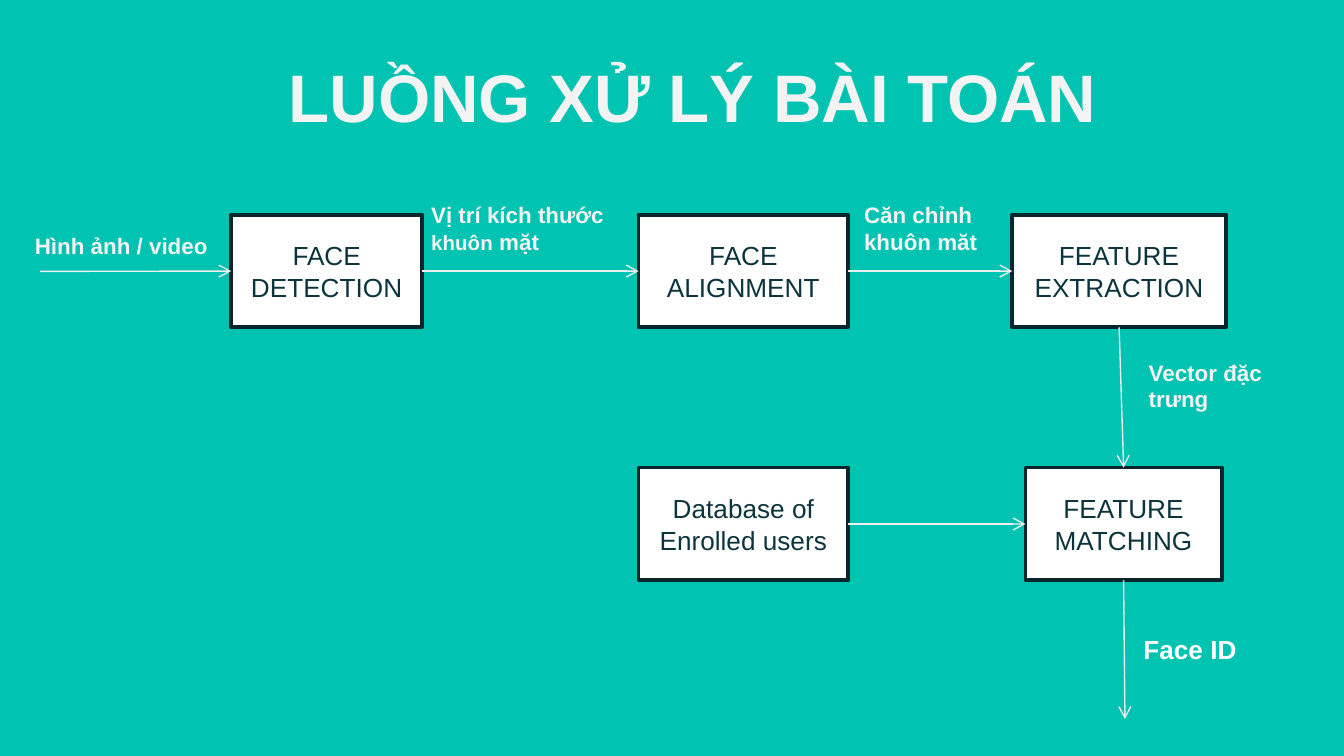
"""Build the slide with the face recognition processing flow."""
from dataclasses import dataclass

from lxml.etree import SubElement
from pptx import Presentation
from pptx.dml.color import RGBColor
from pptx.enum.shapes import MSO_CONNECTOR, MSO_SHAPE
from pptx.enum.text import MSO_ANCHOR, MSO_AUTO_SIZE, PP_ALIGN
from pptx.oxml.ns import qn
from pptx.util import Cm, Pt


@dataclass(frozen=True)
class Theme:
    font: str = "Arial"
    background: str = "00C3B1"
    pale: str = "F3F3F3"
    white: str = "FFFFFF"
    ink: str = "0C343D"
    border: str = "09262D"
    arrow: str = "EEEEEE"
    title_size: int = 36
    box_size: int = 14
    label_size: int = 12
    small_size: int = 11


theme = Theme()
BOTTOM, LEFT, TOP, RIGHT = 2, 1, 0, 3


def style_span(span, size, color, bold=False):
    span.font.name = theme.font
    span.font.size = Pt(size)
    span.font.bold = bold
    span.font.color.rgb = RGBColor.from_string(color)


def set_margins(frame, top, bottom):
    frame.margin_left = frame.margin_right = Cm(0.25)
    frame.margin_top, frame.margin_bottom = Cm(top), Cm(bottom)


deck = Presentation()
deck.slide_width, deck.slide_height = Cm(25.4), Cm(14.29)
page = deck.slides.add_slide(deck.slide_layouts[5])
page.background.fill.solid()
page.background.fill.fore_color.rgb = RGBColor.from_string(theme.background)

title = page.shapes.title
title.left, title.top, title.width, title.height = Cm(2.39), Cm(0.79), Cm(21.41), Cm(1.6)
frame = title.text_frame
frame.text = "LUỒNG XỬ LÝ BÀI TOÁN"
frame.auto_size = MSO_AUTO_SIZE.NONE
frame.vertical_anchor = MSO_ANCHOR.TOP
set_margins(frame, 0.25, 0.25)
frame.paragraphs[0].alignment = PP_ALIGN.CENTER
style_span(frame.paragraphs[0].runs[0], theme.title_size, theme.pale, True)

upper_row, lower_row = 4.06, 8.84
steps = {
    "detection": ("FACE DETECTION", 4.37, upper_row, 3.61),
    "alignment": ("FACE ALIGNMENT", 12.07, upper_row, 3.96),
    "extraction": ("FEATURE\nEXTRACTION", 19.13, upper_row, 4.04),
    "database": ("Database of Enrolled users", 12.07, lower_row, 3.96),
    "matching": ("FEATURE\nMATCHING", 19.38, lower_row, 3.71),
}
boxes = {}
for name, (text, left, top, width) in steps.items():
    box = page.shapes.add_shape(MSO_SHAPE.RECTANGLE, Cm(left), Cm(top), Cm(width), Cm(2.13))
    box.shadow.inherit = False
    box.fill.solid()
    box.fill.fore_color.rgb = RGBColor.from_string(theme.white)
    box.line.color.rgb = RGBColor.from_string(theme.border)
    box.line.width = Pt(2)
    box.text_frame.text = text
    box.text_frame.word_wrap = True
    box.text_frame.vertical_anchor = MSO_ANCHOR.MIDDLE
    for para in box.text_frame.paragraphs:
        para.alignment = PP_ALIGN.CENTER
        style_span(para.runs[0], theme.box_size, theme.ink)
    boxes[name] = box

input_point, output_point = (0.76, 5.13), (21.26, 13.59)
arrows = [
    (None, None, "detection", LEFT),
    ("detection", RIGHT, "alignment", LEFT),
    ("alignment", RIGHT, "extraction", LEFT),
    ("extraction", BOTTOM, "matching", TOP),
    ("database", RIGHT, "matching", LEFT),
    ("matching", BOTTOM, None, None),
]
for source, source_side, target, target_side in arrows:
    start, end = map(Cm, input_point), map(Cm, output_point)
    arrow = page.shapes.add_connector(MSO_CONNECTOR.STRAIGHT, *start, *end)
    if source:
        arrow.begin_connect(boxes[source], source_side)
    if target:
        arrow.end_connect(boxes[target], target_side)
    arrow.line.color.rgb = RGBColor.from_string(theme.arrow)
    arrow.line.width = Pt(0.75)
    SubElement(arrow.line._get_or_add_ln(), qn("a:tailEnd"), type="arrow")
    SubElement(arrow._element.spPr, qn("a:effectLst"))

normal, small = theme.label_size, theme.small_size
labels = [
    ([("Hình ảnh / video", normal)], 0.41, 3.76, 3.96, 1.27, 0.76, 0.25, 1.15, theme.pale),
    ([("Vị trí kích thước ", normal), ("khuôn", small), (" mặt", normal)],
     7.9, 3.3, 4.5, 2.34, 0.51, 0.25, 1.0, theme.pale),
    ([("Căn chỉnh khuôn măt", normal)], 16.08, 3.3, 3.81, 2.34, 0.51, 0.25, 1.0, theme.pale),
    ([("Vector đặc trưng", normal)], 21.46, 6.27, 3.43, 1.7, 0.51, 0.25, 1.0, theme.pale),
    ([("Face ID", theme.box_size)], 21.36, 11.84, 3.43, 0.86, 0.13, 0.13, 1.0, theme.white),
]
for spans, left, top, width, height, margin_top, margin_bottom, spacing, color in labels:
    label = page.shapes.add_textbox(Cm(left), Cm(top), Cm(width), Cm(height))
    frame = label.text_frame
    frame.word_wrap = True
    set_margins(frame, margin_top, margin_bottom)
    para = frame.paragraphs[0]
    para.line_spacing = spacing
    para.space_after = Pt(16)
    for text, size in spans:
        span = para.add_run()
        span.text = text
        style_span(span, size, color, True)

deck.save("out.pptx")
